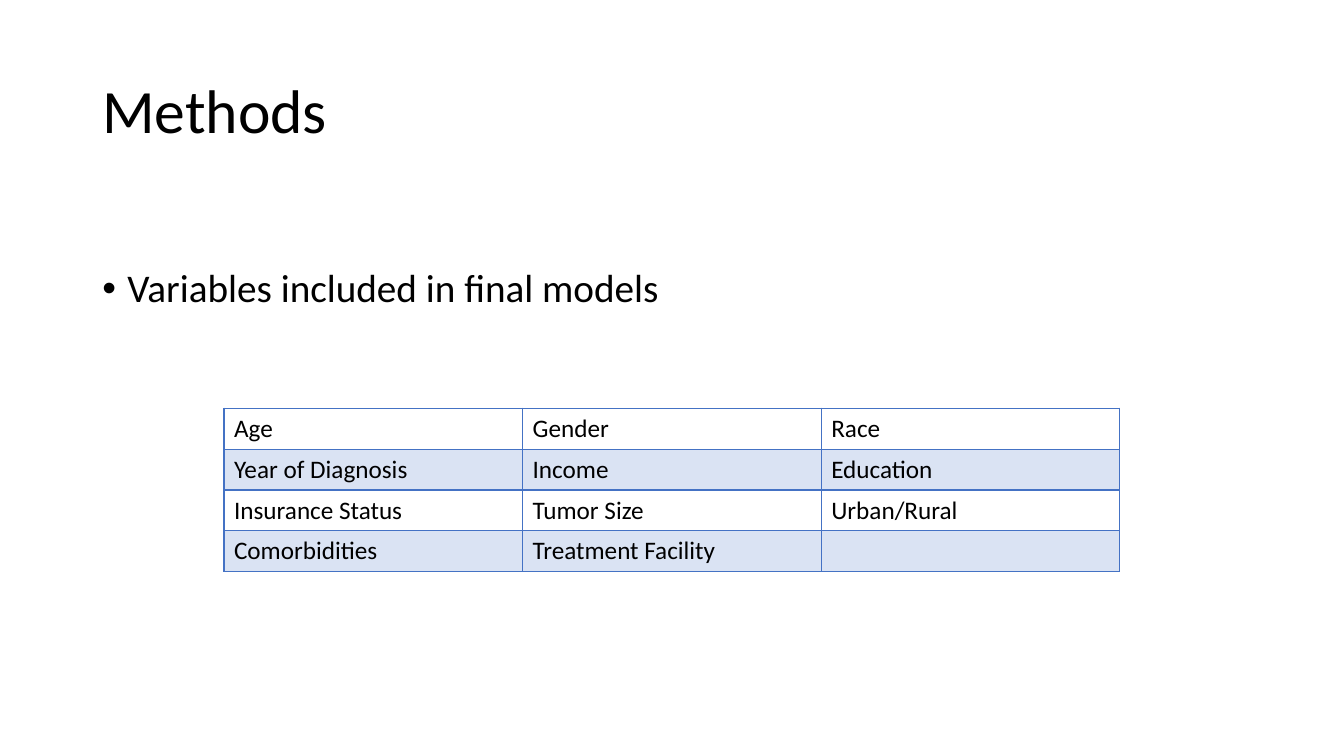
from lxml import etree
from pptx import Presentation
from pptx.dml.color import RGBColor
from pptx.enum.text import MSO_ANCHOR
from pptx.oxml.ns import qn
from pptx.util import Pt

MIDDLE = MSO_ANCHOR.MIDDLE
TOP = MSO_ANCHOR.TOP
FONT = "Calibri"
BLACK, BLUE, PALE_BLUE = "000000", "4472C4", "DAE3F3"
MARGIN, CONTENT_WIDTH = 66, 828
COL_WIDTH, ROW_HEIGHT = 213.33, 29.2

VARIABLES = [
    ["Age", "Gender", "Race"],
    ["Year of Diagnosis", "Income", "Education"],
    ["Insurance Status", "Tumor Size", "Urban/Rural"],
    ["Comorbidities", "Treatment Facility", ""],
]


def rgb(value):
    """Return the colour for a hex string."""
    return RGBColor.from_string(value)


def set_font(p, size):
    """Give a paragraph the slide's font at one size."""
    p.font.name = FONT
    p.font.size = Pt(size)
    p.font.color.rgb = rgb(BLACK)


def add_text(slide, text, top, height, size, anchor, margin_top=3.6):
    """Add a full-width text box and return its paragraph."""
    box = slide.shapes.add_textbox(Pt(MARGIN), Pt(top), Pt(CONTENT_WIDTH), Pt(height))
    tf = box.text_frame
    tf.word_wrap = True
    tf.vertical_anchor = anchor
    tf.margin_top = Pt(margin_top)
    p = tf.paragraphs[0]
    p.text = text
    p.line_spacing = 0.9
    set_font(p, size)
    return p


def add_bullet(p, indent):
    """Give a paragraph a round bullet with a hanging indent."""
    pPr = p._p.get_or_add_pPr()
    pPr.set("marL", str(Pt(indent)))
    pPr.set("indent", str(Pt(-indent)))
    font = etree.Element(qn("a:buFont"), typeface="Arial")
    bullet = etree.Element(qn("a:buChar"), char="•")
    pPr.find(qn("a:lnSpc")).addnext(font)
    font.addnext(bullet)


def set_borders(cell, color, width):
    """Draw all four borders of a table cell."""
    tcPr = cell._tc.get_or_add_tcPr()
    for side in ("lnL", "lnR", "lnT", "lnB"):
        ln = etree.SubElement(tcPr, qn(f"a:{side}"), w=str(Pt(width)))
        fill = etree.SubElement(ln, qn("a:solidFill"))
        etree.SubElement(fill, qn("a:srgbClr"), val=color)


def add_grid(slide, rows, left, top):
    """Add a bordered table with every second row shaded."""
    n_rows, n_cols = len(rows), len(rows[0])
    table = slide.shapes.add_table(n_rows, n_cols, Pt(left), Pt(top),
                                   Pt(n_cols * COL_WIDTH), Pt(n_rows * ROW_HEIGHT)).table
    table.first_row = False
    table.horz_banding = False
    for i, row in enumerate(rows):
        for j, text in enumerate(row):
            cell = table.cell(i, j)
            cell.text = text
            set_font(cell.text_frame.paragraphs[0], 18)
            set_borders(cell, BLUE, 1)
            if i % 2:
                cell.fill.solid()
                cell.fill.fore_color.rgb = rgb(PALE_BLUE)
            else:
                cell.fill.background()


def main():
    """Build the slide and save it."""
    prs = Presentation()
    prs.slide_width, prs.slide_height = Pt(960), Pt(540)
    slide = prs.slides.add_slide(prs.slide_layouts[6])
    add_text(slide, "Methods", 28.8, 104.4, 44, MIDDLE)
    p = add_text(slide, "Variables included in final models", 144, 342.7, 28, TOP, margin_top=48)
    add_bullet(p, 18)
    add_grid(slide, VARIABLES, 160, 291.6)
    prs.save("out.pptx")


if __name__ == "__main__":
    main()
